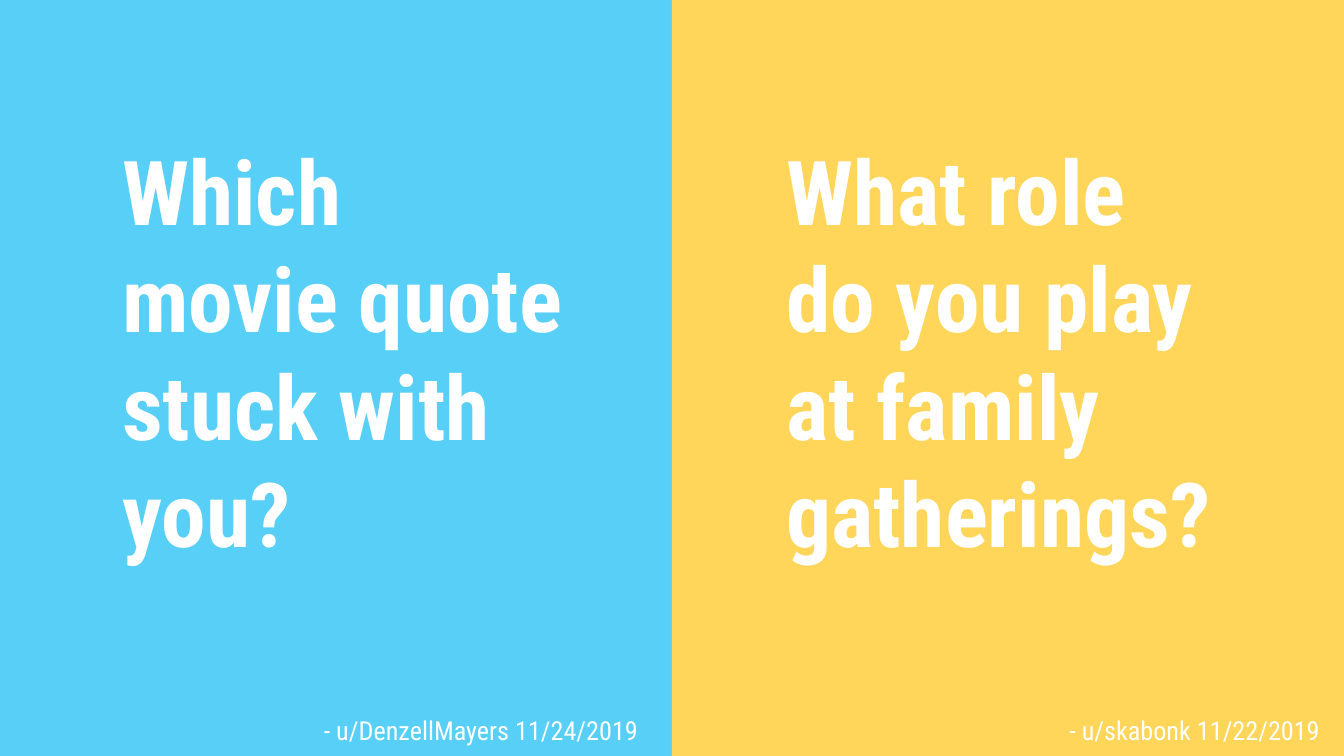
import pptx
import pptx.dml.color
import pptx.enum.shapes
import pptx.util

Cm = pptx.util.Cm
COLORS = {"blue": "58CFF7", "yellow": "FFD65A", "text": "FFFFFF"}
FONT = "Roboto Condensed"
SLIDE_W, SLIDE_H = 25.4, 14.29
BLEED = 0.18
INSET = 0.25


def rgb(name):
    return pptx.dml.color.RGBColor.from_string(COLORS[name])


def add_text(slide, box, text, size, bold=False):
    tf = slide.shapes.add_textbox(*map(Cm, box)).text_frame
    tf.word_wrap = True
    tf.margin_left = tf.margin_right = Cm(INSET)
    tf.margin_top = tf.margin_bottom = Cm(INSET)
    tf.text = text
    font = tf.paragraphs[0].runs[0].font
    font.name = FONT
    font.size = pptx.util.Pt(size)
    font.bold = bold
    font.color.rgb = rgb("text")


def add_panel(slide, box, color):
    sp = slide.shapes.add_shape(
        pptx.enum.shapes.MSO_SHAPE.RECTANGLE, *map(Cm, box))
    sp.shadow.inherit = False
    sp.fill.solid()
    sp.fill.fore_color.rgb = rgb(color)
    sp.line.fill.background()


def add_question(slide, box, text, indent, height):
    left, top, _, _ = box
    add_text(slide, (left + indent, top + 2.5, 8.94, height), text, 48, bold=True)


def add_credit(slide, box, text, indent):
    left, top, _, _ = box
    add_text(slide, (left + indent, top + 13.44, 6.99, 1.35), text, 14)


def main():
    prs = pptx.Presentation()
    prs.slide_width, prs.slide_height = Cm(SLIDE_W), Cm(SLIDE_H)
    slide = prs.slides.add_slide(prs.slide_layouts[6])

    half = SLIDE_W / 2
    left_box, right_box = [
        (i * half, -BLEED, half, SLIDE_H + 2 * BLEED) for i in range(2)]
    add_panel(slide, left_box, "blue")
    add_panel(slide, right_box, "yellow")
    add_question(slide, left_box, "Which movie quote stuck with you?", 2.06, 8.84)
    add_question(slide, right_box,
                 "What role do you play at family gatherings?", 1.91, 8.33)
    add_credit(slide, left_box, "- u/DenzellMayers 11/24/2019", 5.87)
    add_credit(slide, right_box, "- u/skabonk 11/22/2019", 7.26)
    prs.save("out.pptx")


if __name__ == "__main__":
    main()
